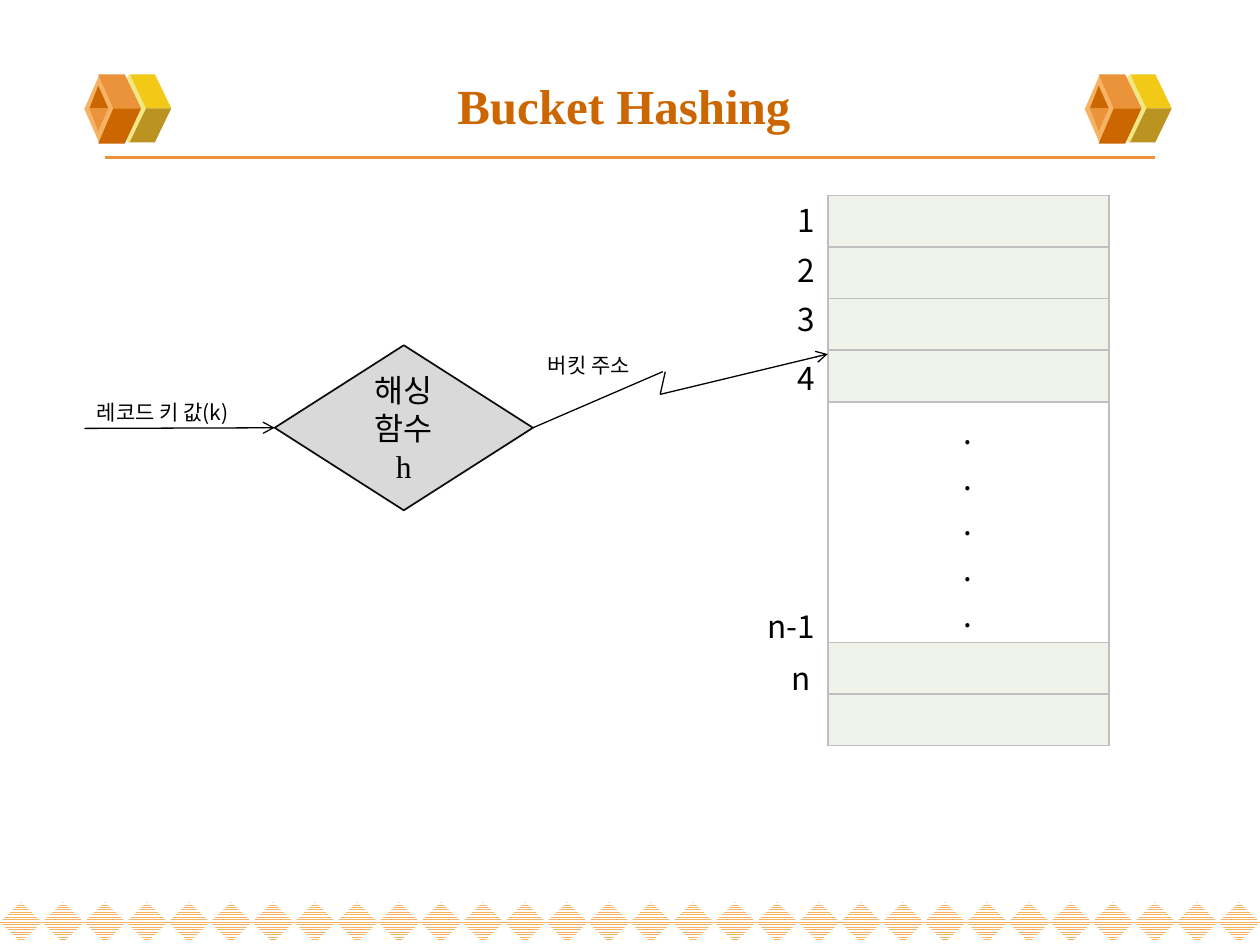
from pptx import Presentation
from pptx.dml.color import RGBColor
from pptx.enum.dml import MSO_PATTERN
from pptx.enum.shapes import MSO_CONNECTOR, MSO_SHAPE
from pptx.enum.text import MSO_ANCHOR, PP_ALIGN
from pptx.oxml import parse_xml
from pptx.oxml.ns import nsdecls
from pptx.util import Inches, Pt
from lxml.etree import SubElement

SANS = "Noto Sans CJK KR"
SERIF = "Times New Roman"
DRAWING = "{http://schemas.openxmlformats.org/drawingml/2006/main}"
color = RGBColor.from_string


def add_run(paragraph, text, size, font_name, hex_color="000000"):
    run = paragraph.add_run()
    run.text = text
    run.font.size = Pt(size)
    run.font.color.rgb = color(hex_color)
    run.font.name = font_name
    SubElement(run.font._element, DRAWING + "ea", typeface=SANS)
    return run


def add_line(start, end, hex_color="000000", width=0.75, arrow=False):
    line = slide.shapes.add_connector(
        MSO_CONNECTOR.STRAIGHT, *(Inches(value) for value in start + end))
    line.line.color.rgb = color(hex_color)
    line.line.width = Pt(width)
    if arrow:
        SubElement(line.line._get_or_add_ln(), DRAWING + "tailEnd", type="arrow")
    SubElement(line._element.spPr, DRAWING + "effectLst")
    return line


presentation = Presentation()
presentation.slide_width = Inches(10)
presentation.slide_height = Inches(7.5)
slide = presentation.slides.add_slide(presentation.slide_layouts[5])

# Title
title = slide.shapes.title
title.left, title.top = Inches(0.5), Inches(0.45)
title.width, title.height = Inches(9), Inches(0.76)
title.text_frame.vertical_anchor = MSO_ANCHOR.MIDDLE
title_paragraph = title.text_frame.paragraphs[0]
title_paragraph.alignment = PP_ALIGN.CENTER
add_run(title_paragraph, "Bucket Hashing ", 28, SERIF, "CC6600").font.bold = True

# Row of hatched diamonds along the bottom
diamond_count = 30
diamond_width = presentation.slide_width / diamond_count
for index in range(diamond_count):
    diamond = slide.shapes.add_shape(
        MSO_SHAPE.DIAMOND, int(index * diamond_width), Inches(7.16),
        int(diamond_width), Inches(0.32))
    diamond.shadow.inherit = False
    diamond.fill.patterned()
    diamond.fill.pattern = MSO_PATTERN.NARROW_HORIZONTAL
    diamond.fill.fore_color.rgb = color("F5B363")
    diamond.fill.back_color.rgb = color("FFFFFF")
    diamond.line.fill.background()

# Title rule and the ornament at each end
add_line((0.83, 1.25), (9.17, 1.25), "EB933B", 2.25)
ornament_diamonds = [(0.19, 0.33, "F1E785"), (0, 0.24, "F5B363")]
ornament_facets = [
    ("F3C917", [(0.49, 0.86), (0.69, 0.86), (0.56, 0.59), (0.36, 0.59)]),
    ("BB9321", [(0.49, 0.86), (0.69, 0.86), (0.56, 1.13), (0.36, 1.13)]),
    ("EB933B", [(0.23, 0.86), (0.45, 0.86), (0.32, 0.59), (0.11, 0.59)]),
    ("CC6600", [(0.23, 0.86), (0.45, 0.86), (0.32, 1.14), (0.11, 1.14)]),
    ("CC6600", [(0.11, 0.68), (0.04, 0.86), (0.19, 0.86)]),
    ("EB933B", [(0.11, 1.04), (0.04, 0.86), (0.19, 0.86)]),
]
for ornament_left in (0.67, 8.61):
    parts = []
    for left, width, hex_color in ornament_diamonds:
        shape = slide.shapes.add_shape(
            MSO_SHAPE.DIAMOND, Inches(ornament_left + left), Inches(0.59),
            Inches(width), Inches(0.55))
        parts.append((shape, hex_color))
    for hex_color, corners in ornament_facets:
        points = [(Inches(ornament_left + x), Inches(y)) for x, y in corners]
        builder = slide.shapes.build_freeform(*points[0])
        builder.add_line_segments(points[1:], close=True)
        parts.append((builder.convert_to_shape(), hex_color))
    for shape, hex_color in parts:
        shape.shadow.inherit = False
        shape.fill.solid()
        shape.fill.fore_color.rgb = color(hex_color)
        shape.line.fill.background()

# Bucket table
row_heights = [0.41] * 4 + [1.62] + [0.41] * 2
gap_row = 4
table = slide.shapes.add_table(
    len(row_heights), 1, Inches(6.57), Inches(1.55), Inches(2.23),
    Inches(sum(row_heights))).table
table.first_row = False
table.horz_banding = False
for index, height in enumerate(row_heights):
    table.rows[index].height = Inches(height)
    cell = table.cell(index, 0)
    cell_properties = cell._tc.get_or_add_tcPr()
    for side in ("lnL", "lnR", "lnT", "lnB"):
        cell_properties.append(parse_xml(
            f'<a:{side} {nsdecls("a")} w="12700"><a:solidFill>'
            f'<a:srgbClr val="BFBFBF"/></a:solidFill></a:{side}>'))
    cell.fill.solid()
    cell.fill.fore_color.rgb = color("FFFFFF" if index == gap_row else "EFF3EA")

gap_frame = table.cell(gap_row, 0).text_frame
for index in range(5):
    paragraph = gap_frame.add_paragraph() if index else gap_frame.paragraphs[0]
    paragraph.alignment = PP_ALIGN.CENTER
    add_run(paragraph, ".", 18, SANS)

# Hash function
decision = slide.shapes.add_shape(
    MSO_SHAPE.FLOWCHART_DECISION, Inches(2.18), Inches(2.74), Inches(2.05), Inches(1.31))
decision.shadow.inherit = False
decision.fill.solid()
decision.fill.fore_color.rgb = color("D9D9D9")
decision.line.color.rgb = color("0D0D0D")
decision.line.width = Pt(1)
decision_frame = decision.text_frame
decision_frame.vertical_anchor = MSO_ANCHOR.MIDDLE
for index, text in enumerate(["해싱", "함수", "h"]):
    paragraph = decision_frame.add_paragraph() if index else decision_frame.paragraphs[0]
    paragraph.alignment = PP_ALIGN.CENTER
    add_run(paragraph, text, 18, SERIF)

# Key arrow in, bucket address arrow out
key_arrow = add_line((0.67, 3.4), (2.18, 3.4), arrow=True)
key_arrow.end_connect(decision, 1)
address_line = add_line((4.23, 3.39), (5.26, 2.95))
address_line.begin_connect(decision, 3)
add_line((5.28, 2.95), (5.24, 3.13))
add_line((5.24, 3.13), (6.57, 2.81), arrow=True)

# Labels: text, left, top, width, height, size
labels = [
    ("레코드 키 값(k)", 0.67, 3.12, 1.35, 0.3, 12),
    ("버킷 주소", 4.25, 2.75, 0.93, 0.3, 12),
    ("1", 6.23, 1.55, 0.34, 0.4, 18),
    ("2", 6.23, 1.94, 0.34, 0.4, 18),
    ("3", 6.23, 2.33, 0.34, 0.4, 18),
    ("4", 6.23, 2.8, 0.34, 0.4, 18),
    ("n-1", 5.99, 4.77, 0.59, 0.4, 18),
    ("n", 6.18, 5.18, 0.35, 0.4, 18),
]
for text, left, top, width, height, size in labels:
    label = slide.shapes.add_textbox(
        Inches(left), Inches(top), Inches(width), Inches(height))
    label.text_frame.word_wrap = False
    add_run(label.text_frame.paragraphs[0], text, size, SANS)

presentation.save("out.pptx")
